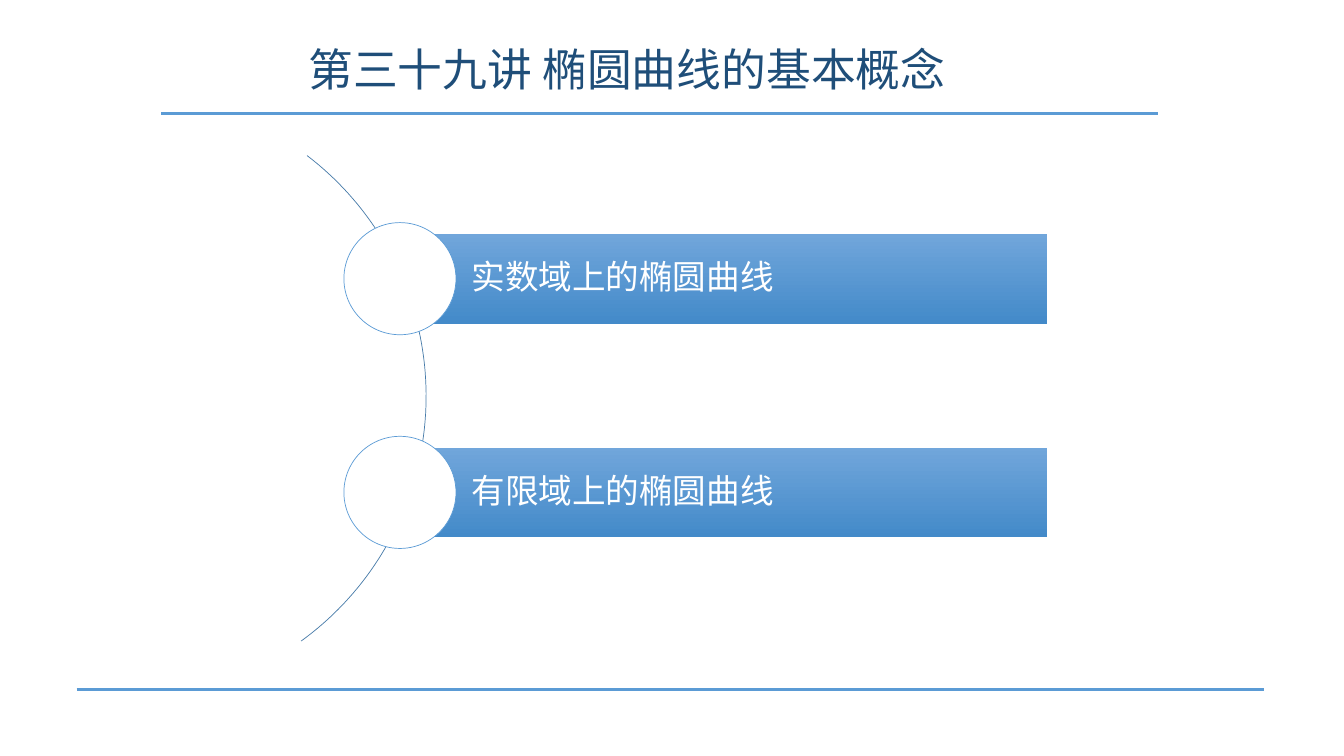
from math import cos, radians, sin

from lxml import etree
from pptx import Presentation
from pptx.dml.color import RGBColor
from pptx.enum.shapes import MSO_CONNECTOR, MSO_SHAPE
from pptx.enum.text import MSO_ANCHOR, MSO_AUTO_SIZE, PP_ALIGN
from pptx.oxml.ns import qn
from pptx.util import Inches, Pt

STRAIGHT = MSO_CONNECTOR.STRAIGHT
RECTANGLE, OVAL = MSO_SHAPE.RECTANGLE, MSO_SHAPE.OVAL
MIDDLE, LEFT = MSO_ANCHOR.MIDDLE, PP_ALIGN.LEFT
NO_AUTOFIT = MSO_AUTO_SIZE.NONE

BLUE, NAVY, WHITE, ARC_BLUE = "5B9BD5", "1F4E79", "FFFFFF", "477BA9"
BAR_GRADIENT = ("71A6DB", "438AC9")
TITLE = "第三十九讲 椭圆曲线的基本概念"
TOPICS = ["实数域上的椭圆曲线", "有限域上的椭圆曲线"]


def color(value):
    return RGBColor.from_string(value)


def write_text(text_frame, text, size, font_name, font_color):
    text_frame.word_wrap = True
    text_frame.auto_size = NO_AUTOFIT
    text_frame.vertical_anchor = MIDDLE
    paragraph = text_frame.paragraphs[0]
    paragraph.alignment = LEFT
    paragraph.line_spacing = 0.9
    run = paragraph.add_run()
    run.text = text
    run.font.size = Pt(size)
    run.font.name = font_name
    run.font.color.rgb = color(font_color)


def add_rule(slide, left, top, width):
    rule = slide.shapes.add_connector(
        STRAIGHT, Inches(left), Inches(top), Inches(left + width), Inches(top))
    rule.line.color.rgb = color(BLUE)
    rule.line.width = Pt(2.25)
    etree.SubElement(rule._element.spPr, qn("a:effectLst"))


def add_title(slide, left, top, width, height):
    title = slide.shapes.title
    title.left, title.top = Inches(left), Inches(top)
    title.width, title.height = Inches(width), Inches(height)
    write_text(title.text_frame, TITLE, 32, "Noto Sans CJK SC", NAVY)


def add_arc(slide, center_x, center_y, radius, start, end, steps=80):
    angles = [radians(start + (end - start) * i / steps) for i in range(steps + 1)]
    points = [(Inches(center_x + radius * cos(angle)),
               Inches(center_y + radius * sin(angle))) for angle in angles]
    builder = slide.shapes.build_freeform(*points[0])
    builder.add_line_segments(points[1:], close=False)
    arc = builder.convert_to_shape()
    arc.shadow.inherit = False
    arc.fill.background()
    arc.line.color.rgb = color(ARC_BLUE)
    arc.line.width = Pt(0.5)


def add_topic(slide, left, top, width, height, text):
    # The circle sits centred on the left edge of the bar
    bar = slide.shapes.add_shape(
        RECTANGLE, Inches(left), Inches(top), Inches(width), Inches(height))
    bar.shadow.inherit = False
    bar.line.fill.background()
    bar.fill.gradient()
    bar.fill.gradient_angle = 270
    for stop, stop_color in zip(bar.fill.gradient_stops, BAR_GRADIENT):
        stop.color.rgb = color(stop_color)
    frame = bar.text_frame
    frame.margin_left = Inches(0.71)
    frame.margin_top = frame.margin_right = frame.margin_bottom = Inches(0.07)
    write_text(frame, text, 24, "Times New Roman", WHITE)
    frame.paragraphs[0].space_after = Pt(10.5)

    diameter = height * 1.25
    circle = slide.shapes.add_shape(
        OVAL, Inches(left - diameter / 2), Inches(top + (height - diameter) / 2),
        Inches(diameter), Inches(diameter))
    circle.shadow.inherit = False
    circle.fill.solid()
    circle.fill.fore_color.rgb = color(WHITE)
    circle.line.color.rgb = color(BLUE)
    circle.line.width = Pt(0.5)


def add_topic_list(slide, left, top, width, bar_height, pitch):
    add_arc(slide, 1.23, 3.93, 3, -52.7, 54.1)
    for index, topic in enumerate(TOPICS):
        add_topic(slide, left, top + index * pitch, width, bar_height, topic)


def main():
    presentation = Presentation()
    presentation.slide_width = Inches(13.34)
    presentation.slide_height = Inches(7.5)
    slide = presentation.slides.add_slide(presentation.slide_layouts[5])

    # Header and footer rules
    add_rule(slide, 1.6, 1.13, 9.89)
    add_rule(slide, 0.76, 6.84, 11.79)

    add_title(slide, 2.96, 0.35, 7.41, 0.73)
    add_topic_list(slide, 3.97, 2.32, 6.42, 0.89, 2.12)
    presentation.save("out.pptx")


if __name__ == "__main__":
    main()
